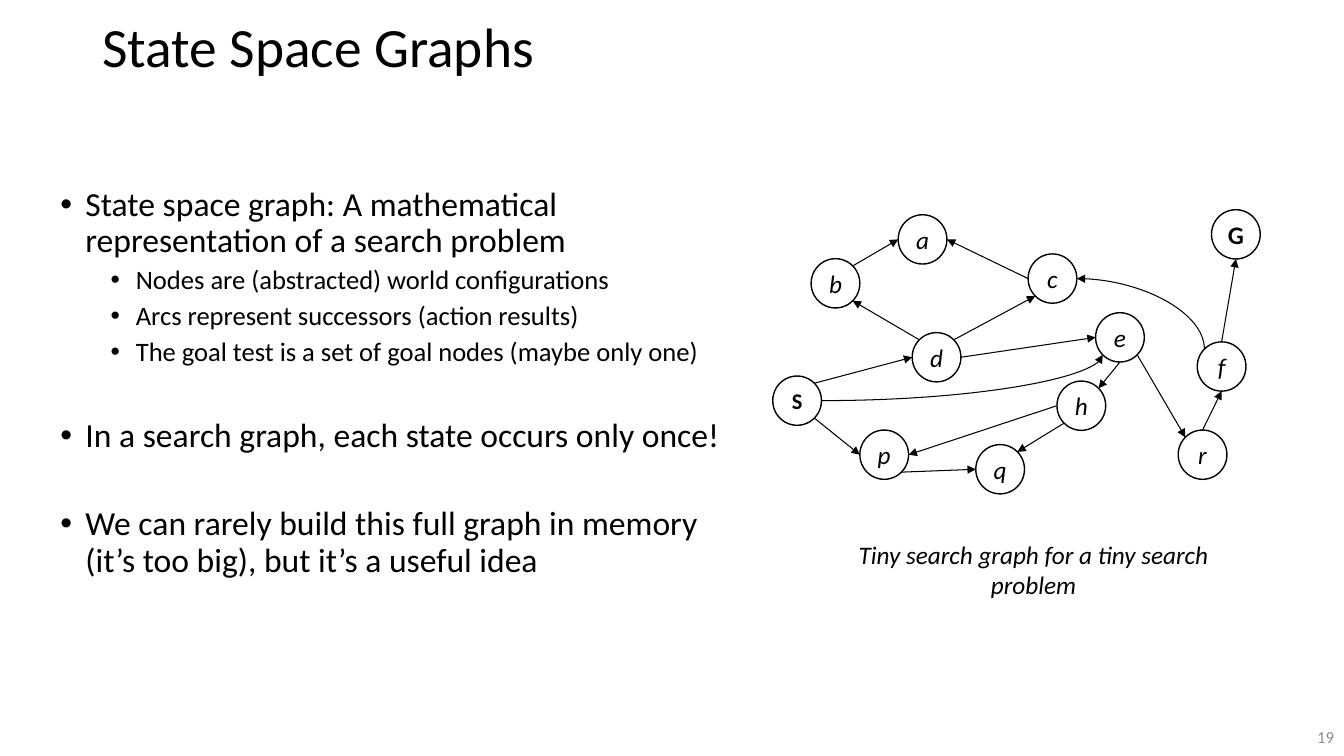
from dataclasses import dataclass
from math import cos, radians, sin
from lxml.etree import SubElement
from pptx import Presentation
from pptx.dml.color import RGBColor
from pptx.enum.shapes import MSO_CONNECTOR, MSO_SHAPE
from pptx.enum.text import MSO_ANCHOR, PP_ALIGN
from pptx.oxml.ns import qn
from pptx.util import Pt


@dataclass(frozen=True)
class Theme:
    font: str = "Calibri"
    ink: RGBColor = RGBColor(0, 0, 0)
    gray: RGBColor = RGBColor(0x8C, 0x8C, 0x8C)
    title: float = 39.6
    body: float = 24
    sub: float = 19
    node: float = 18
    start: float = 16
    foot: float = 12
    ring: float = 1
    edge: float = 0.75


theme = Theme()


def write(para, text, size, color=theme.ink, face={}, form={}):
    run = para.add_run()
    run.text = text
    run.font.color.rgb = color
    for name, value in {"name": theme.font, "size": Pt(size), **face}.items():
        setattr(run.font, name, value)
    for name, value in form.items():
        setattr(para, name, value)


def frame(left, top, width, height, anchor=MSO_ANCHOR.TOP):
    box = slide.shapes.add_textbox(Pt(left), Pt(top), Pt(width), Pt(height))
    for name, value in {"word_wrap": True, "vertical_anchor": anchor}.items():
        setattr(box.text_frame, name, value)
    return box.text_frame


deck = Presentation()
deck.slide_width, deck.slide_height = Pt(960), Pt(540)
slide = deck.slides.add_slide(deck.slide_layouts[6])

# Title
title = frame(66, 9.4, 828, 52.6, MSO_ANCHOR.MIDDLE)
write(title.paragraphs[0], "State Space Graphs", theme.title, form={"line_spacing": 0.9})

# Bullets: level, space before, text
points = [
    (0, 10, "State space graph: A mathematical representation of a search problem"),
    (1, 5, "Nodes are (abstracted) world configurations"),
    (1, 5, "Arcs represent successors (action results)"),
    (1, 5, "The goal test is a set of goal nodes (maybe only one)"),
    (0, 37, "In a search graph, each state occurs only once!"),
    (0, 37, "We can rarely build this full graph in memory (it’s too big), but it’s a useful idea"),
]
body = frame(36, 130.3, 498, 356.4)
for i, (level, gap, text) in enumerate(points):
    para = body.add_paragraph() if i else body.paragraphs[0]
    write(para, text, theme.sub if level else theme.body,
          form={"level": level, "line_spacing": 0.9, "space_before": Pt(gap)})
    props = para._p.get_or_add_pPr()
    props.set("marL", str(Pt(18 + 36 * level)))
    props.set("indent", str(-Pt(18)))
    SubElement(props, qn("a:buFont")).set("typeface", "Arial")
    SubElement(props, qn("a:buChar")).set("char", "•")

# Nodes: left and top of each circle
wide, high = 34.8, 35.2
nodes = {
    "S": (552, 268.6), "G": (865.4, 149.8), "d": (651.6, 237.6), "b": (579.4, 184.8),
    "p": (614.2, 307.2), "q": (697, 317.6), "c": (734.4, 181.4), "e": (782.6, 223.4),
    "h": (755, 272.2), "a": (641.6, 153.4), "f": (855.2, 244.2), "r": (841.6, 307.2),
}
for name, (left, top) in nodes.items():
    ring = slide.shapes.add_shape(MSO_SHAPE.FLOWCHART_CONNECTOR, Pt(left), Pt(top), Pt(wide), Pt(high))
    ring.shadow.inherit = False
    ring.fill.background()
    ring.line.color.rgb = theme.ink
    ring.line.width = Pt(theme.ring)
    ring.text_frame.word_wrap = False
    ring.text_frame.vertical_anchor = MSO_ANCHOR.MIDDLE
    write(ring.text_frame.paragraphs[0], name, theme.start if name == "S" else theme.node,
          face={"bold": name.isupper(), "italic": name.islower()},
          form={"alignment": PP_ALIGN.CENTER})

# Edges: node and compass point at both ends, then the arrow end
turn = {side: 45 * i for i, side in enumerate("E SE S SW W NW N NE".split())}
edges = """
S SE p W tail
p SE q W tail
h SW q NE tail
h W p E tail
e S h NE tail
e SE r NW tail
r N f S tail
f N G S tail
S NE d W tail
d NW b SE tail
b NE a W tail
c W a E tail
d NE c SW tail
d E e W tail
c E f NW head curve
S E e SW tail curve
"""
for edge in edges.strip().splitlines():
    first, out, last, into, tip, *bend = edge.split()
    ends = []
    for name, side in ((first, out), (last, into)):
        left, top = nodes[name]
        angle = radians(turn[side])
        ends += [Pt(left + wide / 2 * (1 + cos(angle))), Pt(top + high / 2 * (1 + sin(angle)))]
    kind = MSO_CONNECTOR.CURVE if bend else MSO_CONNECTOR.STRAIGHT
    link = slide.shapes.add_connector(kind, *ends)
    link.line.color.rgb = theme.ink
    link.line.width = Pt(theme.edge)
    props = link._element.spPr
    if bend:
        props.find(qn("a:prstGeom")).set("prst", "curvedConnector2")
    arrow = SubElement(props.find(qn("a:ln")), qn(f"a:{tip}End"))
    for name, value in {"type": "triangle", "w": "med", "len": "med"}.items():
        arrow.set(name, value)
    SubElement(props, qn("a:effectLst"))

# Caption and page number
note = frame(606.2, 381.6, 264.2, 51)
write(note.paragraphs[0], "Tiny search graph for a tiny search problem", theme.node,
      face={"italic": True}, form={"alignment": PP_ALIGN.CENTER})
page = frame(917.4, 512.6, 42.6, 27.4, MSO_ANCHOR.MIDDLE)
write(page.paragraphs[0], "19", theme.foot, theme.gray, form={"alignment": PP_ALIGN.RIGHT})

deck.save("out.pptx")
